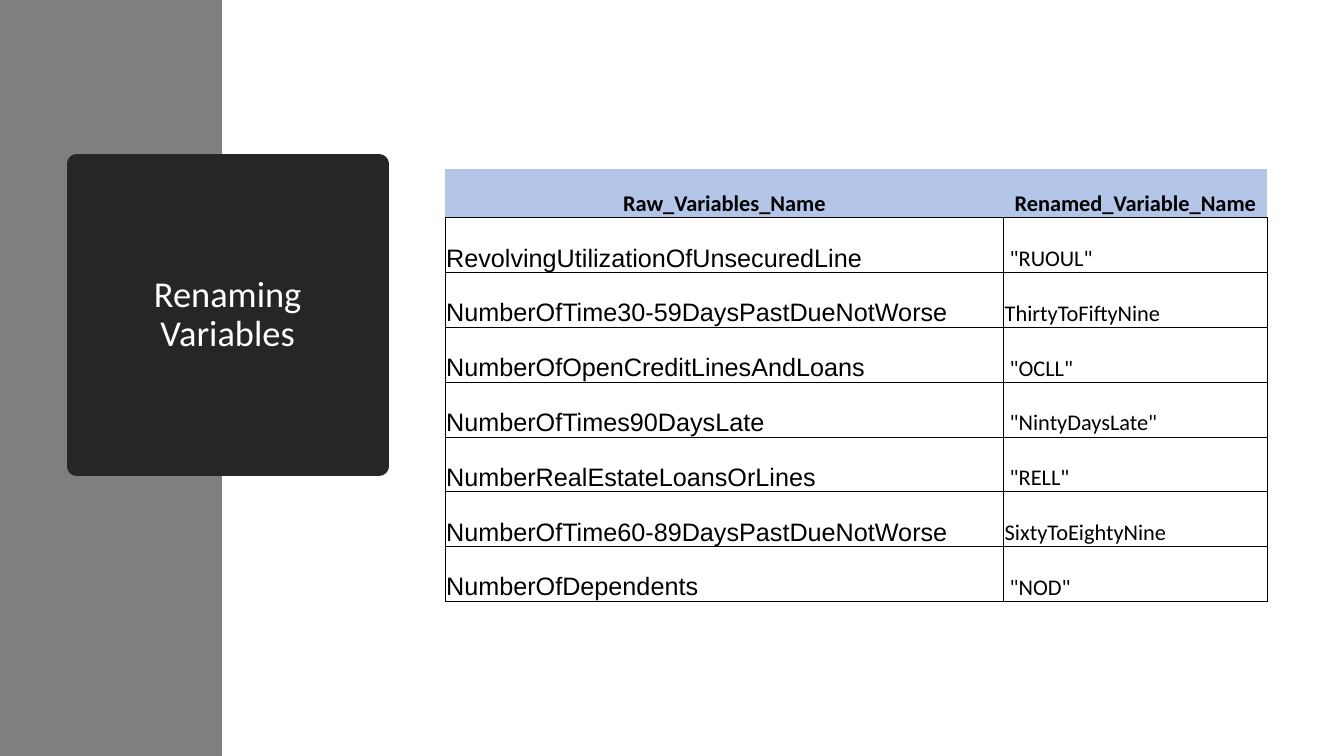
import pptx
import pptx.util
import pptx.dml.color
import pptx.enum.shapes
import pptx.enum.text
import pptx.oxml

Pt = pptx.util.Pt
Color = pptx.dml.color.RGBColor.from_string
Align = pptx.enum.text.PP_ALIGN
Anchor = pptx.enum.text.MSO_ANCHOR

theme = {
    "sidebar": Color("7F7F7F"),
    "title_box": Color("262626"),
    "header": Color("B4C6E7"),
    "border": "000000",
    "border_width": Pt(0.5),
    "title": {"name": "Calibri", "size": Pt(26), "bold": False, "color": Color("FFFFFF")},
    "heading": {"name": "Calibri", "size": Pt(16), "bold": True, "color": Color("000000")},
    "raw": {"name": "Arial", "size": Pt(18), "bold": False, "color": Color("000000")},
    "renamed": {"name": "Calibri", "size": Pt(16), "bold": False, "color": Color("000000")},
}

variables = [
    ("Raw_Variables_Name", "Renamed_Variable_Name"),
    ("RevolvingUtilizationOfUnsecuredLine", ' "RUOUL"'),
    ("NumberOfTime30-59DaysPastDueNotWorse", "ThirtyToFiftyNine"),
    ("NumberOfOpenCreditLinesAndLoans", ' "OCLL"'),
    ("NumberOfTimes90DaysLate", ' "NintyDaysLate"'),
    ("NumberRealEstateLoansOrLines", ' "RELL"'),
    ("NumberOfTime60-89DaysPastDueNotWorse", "SixtyToEightyNine"),
    ("NumberOfDependents", ' "NOD"'),
]


def write_text(frame, text, style, alignment):
    frame.text = text
    paragraph = frame.paragraphs[0]
    paragraph.alignment = alignment
    for run in paragraph.runs:
        for name, value in style.items():
            if name == "color":
                run.font.color.rgb = value
            else:
                setattr(run.font, name, value)
    return paragraph


def set_borders(cell, visible_sides):
    properties = cell._tc.get_or_add_tcPr()
    for position, side in enumerate("LRTB"):
        paint = "<a:noFill/>"
        if side in visible_sides:
            paint = f'<a:solidFill><a:srgbClr val="{theme["border"]}"/></a:solidFill>'
        line = pptx.oxml.parse_xml(
            f'<a:ln{side} xmlns:a="http://schemas.openxmlformats.org/drawingml/2006/main" '
            f'w="{theme["border_width"]}">{paint}</a:ln{side}>'
        )
        properties.insert(position, line)


presentation = pptx.Presentation()
presentation.slide_width = Pt(960)
presentation.slide_height = Pt(540)
slide = presentation.slides.add_slide(presentation.slide_layouts[5])
title = slide.shapes.title

sidebar = slide.shapes.add_shape(
    pptx.enum.shapes.MSO_SHAPE.RECTANGLE, 0, 0, Pt(158.6), Pt(540)
)
sidebar.shadow.inherit = False
sidebar.fill.solid()
sidebar.fill.fore_color.rgb = theme["sidebar"]
sidebar.line.fill.background()
title.element.addprevious(sidebar.element)

title_place = {"left": Pt(54.7), "top": Pt(117), "width": Pt(216), "height": Pt(216)}
for name, value in title_place.items():
    setattr(title, name, value)
title.fill.solid()
title.fill.fore_color.rgb = theme["title_box"]
title.line.color.rgb = theme["title_box"]
title.line.width = Pt(13.75)
title_frame = {
    "word_wrap": True,
    "auto_size": pptx.enum.text.MSO_AUTO_SIZE.NONE,
    "vertical_anchor": Anchor.MIDDLE,
}
for name, value in title_frame.items():
    setattr(title.text_frame, name, value)
paragraph = write_text(title.text_frame, "Renaming\vVariables", theme["title"], Align.CENTER)
paragraph.line_spacing = 0.9

column_widths = [Pt(399), Pt(188)]
row_heights = [Pt(34.8)] + [Pt(39.15)] * (len(variables) - 1)
table = slide.shapes.add_table(
    len(variables), 2, Pt(318), Pt(120.7), sum(column_widths), sum(row_heights)
).table
table.first_row = False
table.horz_banding = False
for column, width in zip(table.columns, column_widths):
    column.width = width

cell_format = {
    "vertical_anchor": Anchor.BOTTOM,
    "margin_left": Pt(0.7),
    "margin_right": Pt(0.7),
    "margin_top": Pt(0.7),
    "margin_bottom": 0,
}
for row_index, names in enumerate(variables):
    table.rows[row_index].height = row_heights[row_index]
    for column_index, text in enumerate(names):
        cell = table.cell(row_index, column_index)
        for name, value in cell_format.items():
            setattr(cell, name, value)
        if row_index == 0:
            cell.fill.solid()
            cell.fill.fore_color.rgb = theme["header"]
            write_text(cell.text_frame, text, theme["heading"], Align.CENTER)
            set_borders(cell, "B")
        else:
            cell.fill.background()
            style = theme[("raw", "renamed")[column_index]]
            write_text(cell.text_frame, text, style, Align.LEFT)
            set_borders(cell, "LRTB")

presentation.save("out.pptx")
